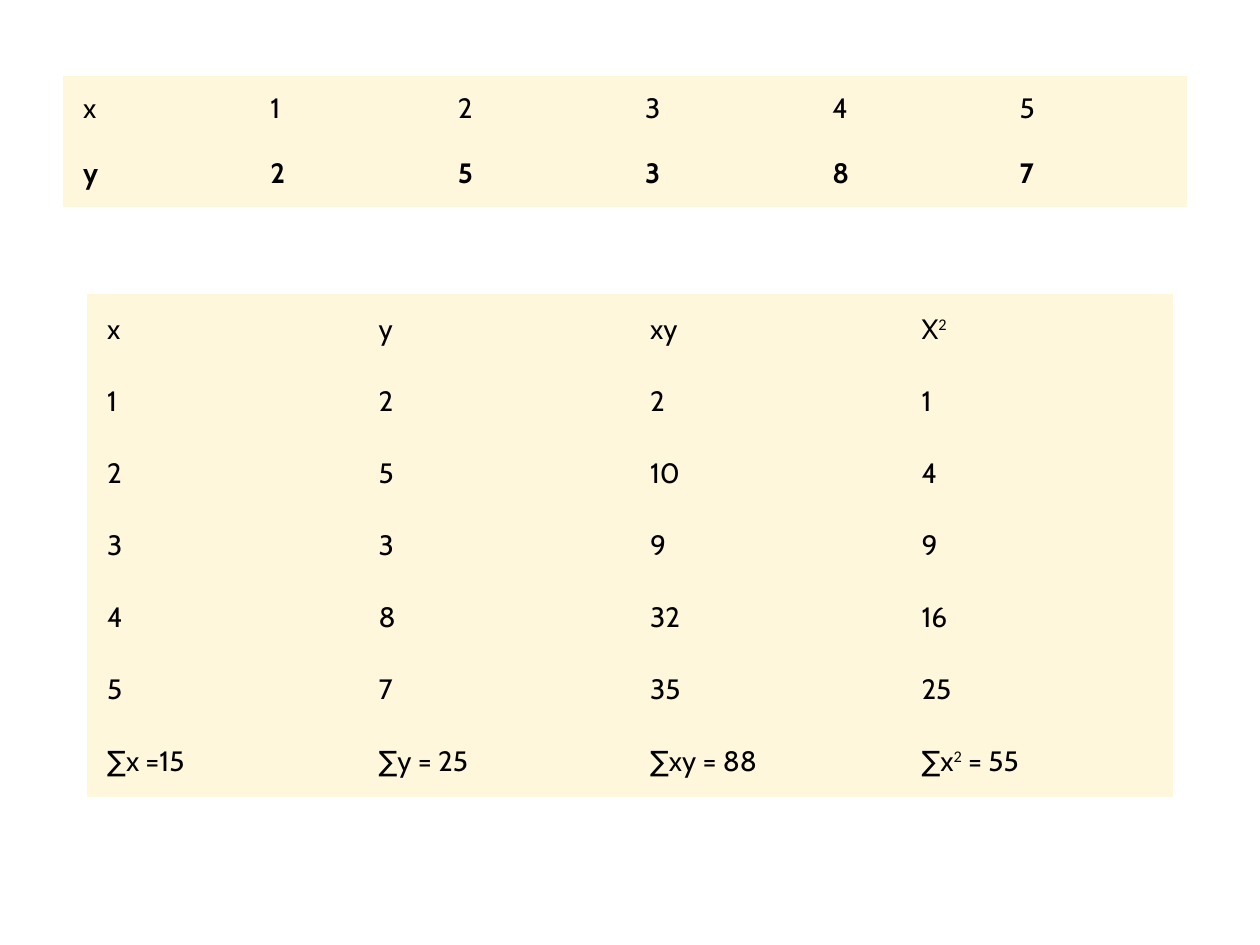
"""Build a slide with a data table and its table of regression sums."""
from pptx import Presentation, util as u
from pptx.dml.color import RGBColor
from pptx.enum import text

CREAM = RGBColor(0xFF, 0xF7, 0xDB)
BLACK = RGBColor(0, 0, 0)
PLAIN = "{2D5ABB26-0587-4C30-8999-92F81FD0307C}"

deck = Presentation()
deck.slide_width, deck.slide_height = u.Inches(10), u.Inches(7.5)
col, row = deck.slide_width / 10, deck.slide_height / 7.5
slide = deck.slides.add_slide(deck.slide_layouts[6])

xs, ys = [1, 2, 3, 4, 5], [2, 5, 3, 8, 7]
data = [["x", *xs], ["y", *ys]]
sums = [
    ["x", "y", "xy", "X^2"],
    *[[x, y, x * y, x * x] for x, y in zip(xs, ys)],
    ["∑x =15", "∑y = 25", "∑xy = 88", "∑x^2^ = 55"],
]
grids = [
    (data, (0.5, 0.6, 8.92, 1.04), 1),
    (sums, (0.69, 2.33, 8.62, 4), None),
]
inset = {
    "margin_left": u.Inches(0.16),
    "margin_right": u.Inches(0.09),
    "margin_top": u.Inches(0.05),
    "margin_bottom": u.Inches(0.05),
    "vertical_anchor": text.MSO_ANCHOR.MIDDLE,
}

for rows, (left, top, width, height), heavy in grids:
    frame = slide.shapes.add_table(
        len(rows), len(rows[0]),
        int(left * col), int(top * row), int(width * col), int(height * row))
    table = frame.table
    table.first_row = table.horz_banding = False
    table._tbl.tblPr.find("{*}tableStyleId").text = PLAIN
    for r, line in enumerate(rows):
        for c, value in enumerate(line):
            cell = table.cell(r, c)
            for key, item in inset.items():
                setattr(cell, key, item)
            cell.fill.solid()
            cell.fill.fore_color.rgb = CREAM
            para = cell.text_frame.paragraphs[0]
            for n, part in enumerate(str(value).split("^")):
                run = para.add_run()
                run.text = part
                raised = n % 2 == 1
                look = {
                    "name": "Calibri" if raised else "Cabin",
                    "size": u.Pt(16),
                    "bold": r == heavy,
                }
                for key, item in look.items():
                    setattr(run.font, key, item)
                run.font.color.rgb = BLACK
                if raised:
                    run._r.get_or_add_rPr().set("baseline", "30000")

deck.save("out.pptx")
